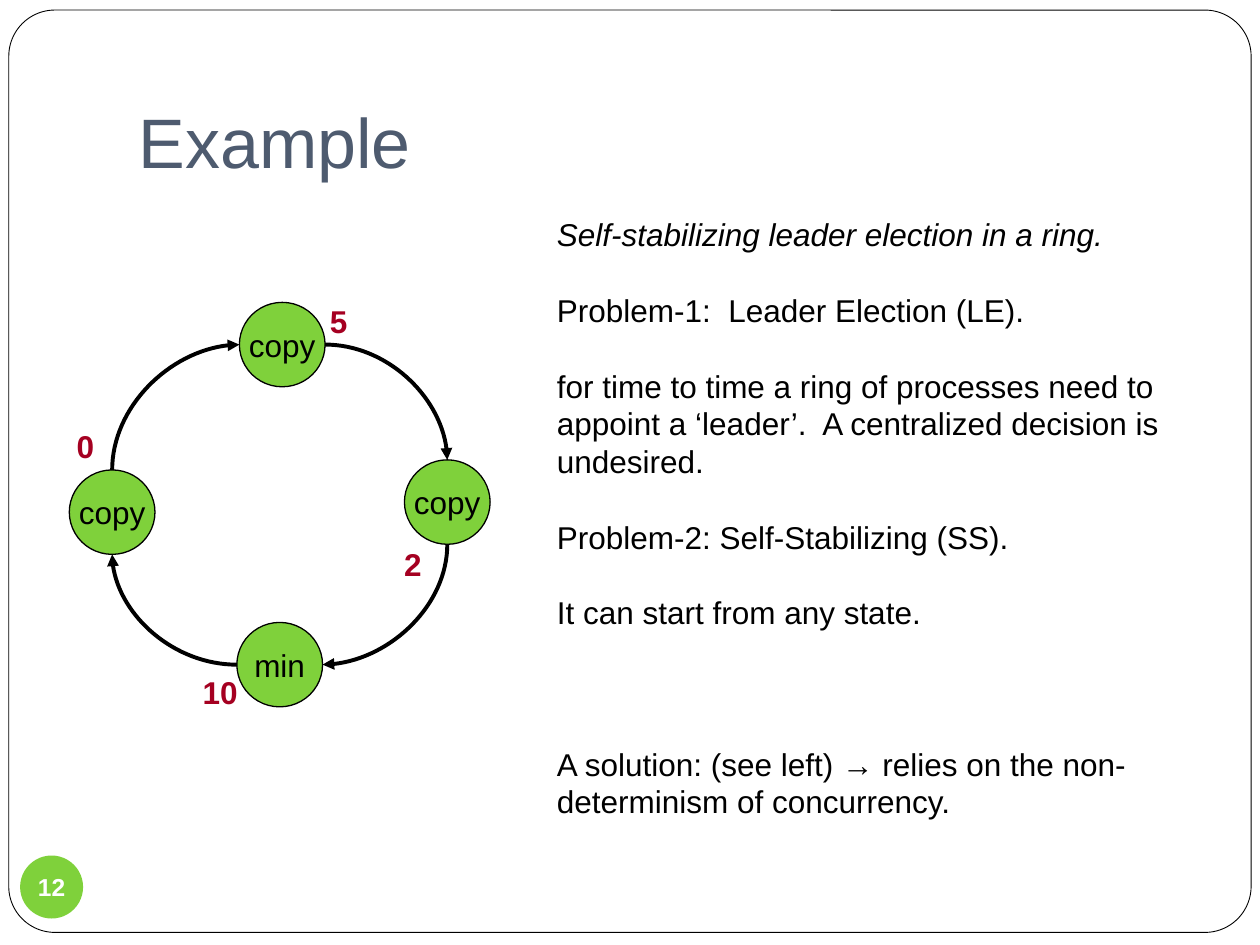
from lxml import etree
from pptx import Presentation
from pptx import util as u
from pptx.dml.color import RGBColor
from pptx.enum import shapes, text
from pptx.oxml.ns import qn

COLS, ROWS = 100, 75
WIDE, HIGH = u.Inches(10), u.Inches(7.5)
FONT, BLACK, WHITE, GREEN, RED = "Arial", "000000", "FFFFFF", "7FD13B", "A50021"
DISC = (6.8, 6.7)
NODES = [("copy", 19, 24), ("copy", 32.1, 36.5), ("min", 18.8, 49.4), ("copy", 5.5, 37.3)]
LABELS = [("5", 25.2, 23.5, 3.4), ("2", 31.1, 42.8, 3.4),
          ("10", 15.1, 52.9, 4.8), ("0", 5.1, 33.4, 3.4)]
LINE = 21.6
NOTES = [
    ("Self-stabilizing leader election in a ring.", 0),
    ("Problem-1:  Leader Election (LE).", 1),
    ("for time to time a ring of processes need to appoint a ‘leader’.  "
     "A centralized decision is undesired.", 1),
    ("Problem-2: Self-Stabilizing (SS).", 1),
    ("It can start from any state.", 1),
    ("A solution: (see left) → relies on the non-determinism of concurrency.", 3),
]


def color(code):
    """Turn a hex string into a colour."""
    return RGBColor.from_string(code)


def grid(left, top, wide, high):
    """Turn columns and rows into slide lengths."""
    return [int(n * side / cells) for n, side, cells in
            zip((left, top, wide, high), (WIDE, HIGH) * 2, (COLS, ROWS) * 2)]


def place(shape, *cells):
    """Move a shape to a grid area."""
    shape.left, shape.top, shape.width, shape.height = grid(*cells)


def style(para, size, code, bold=False):
    """Format the font of a paragraph's runs."""
    for run in para.runs:
        font = run.font
        font.name, font.size, font.bold = FONT, u.Pt(size), bold
        font.color.rgb = color(code)


def solid(slide, kind, cells, fill, line=None):
    """Add a filled preset shape with an optional black outline."""
    shape = slide.shapes.add_shape(kind, *grid(*cells))
    shape.shadow.inherit = False
    shape.fill.solid()
    shape.fill.fore_color.rgb = color(fill)
    if line:
        shape.line.color.rgb = color(BLACK)
        shape.line.width = u.Pt(line)
    else:
        shape.line.fill.background()
    return shape


def frame(slide):
    """Add the rounded page border behind everything."""
    shape = solid(slide, shapes.MSO_SHAPE.ROUNDED_RECTANGLE, (0.7, 0.8, 98.6, 73.2), WHITE, 0.5)
    shape.adjustments[0] = 0.05
    slide.shapes.element.insert(2, shape.element)


def disc(slide, words, cells, size, code, line=None, bold=False):
    """Add a green disc with centred text."""
    shape = solid(slide, shapes.MSO_SHAPE.OVAL, cells, GREEN, line)
    body = shape.text_frame
    body.text, body.word_wrap = words, False
    body.vertical_anchor = text.MSO_ANCHOR.MIDDLE
    para = body.paragraphs[0]
    para.alignment = text.PP_ALIGN.CENTER
    style(para, size, code, bold)
    return shape


def site(node, spot):
    """Find a disc's site, counted in eighths from the top, leftwards."""
    dx, dy = {0: (1, 0), 2: (0, 1), 4: (1, 2), 6: (2, 1)}[spot]
    return node.left + node.width * dx // 2, node.top + node.height * dy // 2


def arc(slide, start, stop, turn):
    """Join two discs by a curved arrow turned by quarter circles."""
    spots = 6 - 2 * turn, -2 * turn % 8
    (ax, ay), (bx, by) = site(start, spots[0]), site(stop, spots[1])
    wide, high = abs(bx - ax), abs(by - ay)
    if turn % 2:
        wide, high = high, wide
    left, top = (ax + bx - wide) // 2, (ay + by - high) // 2
    link = slide.shapes.add_connector(
        shapes.MSO_CONNECTOR.CURVE, left, top, left + wide, top + high)
    link.line.color.rgb = color(BLACK)
    link.line.width = u.Pt(2.25)
    props = link.element.spPr
    props.find(qn("a:xfrm")).set("rot", str(turn * 5400000))
    props.find(qn("a:prstGeom")).set("prst", "curvedConnector2")
    etree.SubElement(props.find(qn("a:ln")), qn("a:tailEnd"), type="triangle")
    etree.SubElement(props, qn("a:effectLst"))
    ends = link.element.find(".//" + qn("p:cNvCxnSpPr"))
    for tag, node, spot in zip(("a:stCxn", "a:endCxn"), (start, stop), spots):
        etree.SubElement(ends, qn(tag), id=str(node.shape_id), idx=str(spot))


def label(slide, words, left, top, wide):
    """Add a bold red value beside a disc."""
    body = slide.shapes.add_textbox(*grid(left, top, wide, 4)).text_frame
    body.text, body.word_wrap = words, False
    style(body.paragraphs[0], 18, RED, True)


def title(slide, words):
    """Fill the title placeholder."""
    shape = slide.shapes.title
    place(shape, 10, 3, 85, 12.5)
    body = shape.text_frame
    body.text, body.auto_size = words, text.MSO_AUTO_SIZE.NONE
    body.vertical_anchor = text.MSO_ANCHOR.BOTTOM
    body.margin_bottom = u.Inches(0.1)
    para = body.paragraphs[0]
    para.alignment = text.PP_ALIGN.LEFT
    style(para, 40, "4E5B6F")


def notes(slide):
    """Fill the body placeholder with plain spaced paragraphs."""
    shape = slide.placeholders[1]
    place(shape, 43.2, 16.6, 54.5, 49)
    body = shape.text_frame
    body.text = "\n".join(words for words, _ in NOTES)
    body.auto_size = text.MSO_AUTO_SIZE.NONE
    for para, (_, gap) in zip(body.paragraphs, NOTES):
        props = para._p.get_or_add_pPr()
        props.set("marL", "0")
        props.set("indent", "0")
        etree.SubElement(props, qn("a:buNone"))
        para.line_spacing = u.Pt(LINE)
        para.space_before = u.Pt(gap * LINE)
        style(para, 18, BLACK)
    body.paragraphs[0].runs[0].font.italic = True


def main():
    """Build the slide and save it."""
    deck = Presentation()
    deck.slide_width, deck.slide_height = WIDE, HIGH
    slide = deck.slides.add_slide(deck.slide_layouts[1])
    frame(slide)
    title(slide, "Example")
    notes(slide)
    ring = [disc(slide, words, (left, top, *DISC), 18, BLACK, 0.75)
            for words, left, top in NODES]
    for turn, node in enumerate(ring):
        arc(slide, node, ring[(turn + 1) % len(ring)], turn)
    for item in LABELS:
        label(slide, *item)
    page = disc(slide, "12", (1.6, 67.9, 5, 5), 14, WHITE, bold=True).text_frame
    page.margin_left = page.margin_right = page.margin_top = page.margin_bottom = 0
    deck.save("out.pptx")


if __name__ == "__main__":
    main()
